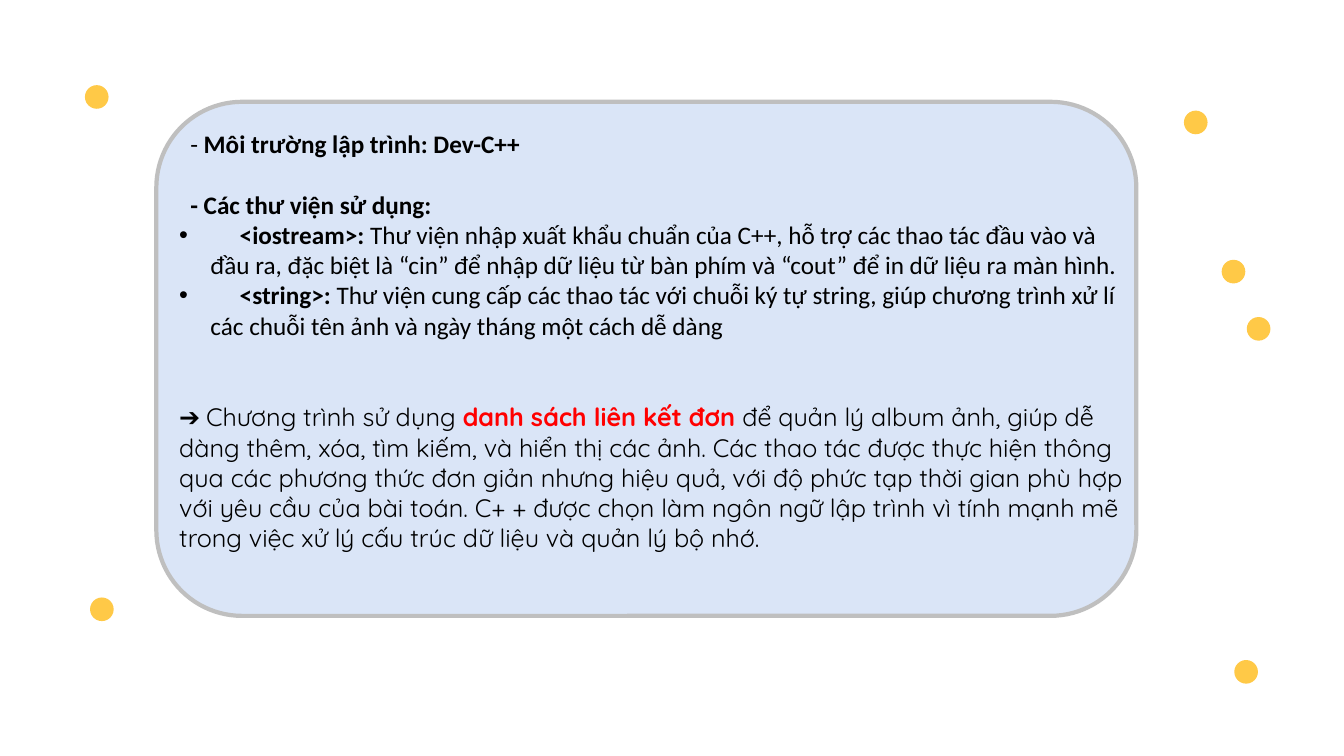
from dataclasses import dataclass

from lxml import etree
from pptx import Presentation
from pptx.dml.color import RGBColor
from pptx.enum.shapes import MSO_SHAPE
from pptx.enum.text import MSO_AUTO_SIZE, PP_ALIGN
from pptx.oxml.ns import qn
from pptx.util import Inches, Pt

OVAL = MSO_SHAPE.OVAL
ROUNDED = MSO_SHAPE.ROUNDED_RECTANGLE
GROW = MSO_AUTO_SIZE.SHAPE_TO_FIT_TEXT
LEFT = PP_ALIGN.LEFT
SLIDE_WIDTH, SLIDE_HEIGHT = Inches(13.33), Inches(7.5)


@dataclass(frozen=True)
class Theme:
    panel: str = "DAE5F7"
    border: str = "BFBFBF"
    dot: str = "FFC947"
    ink: str = "000000"
    accent: str = "FF0000"
    body_font: str = "Calibri"
    summary_font: str = "Quicksand"
    size: int = 18
    line: int = 22
    border_width: int = 3


THEME = Theme()


@dataclass(frozen=True)
class Area:
    """Left, top, width and height in percent of the slide."""
    left: float
    top: float
    width: float
    height: float


@dataclass(frozen=True)
class Phrase:
    text: str
    bold: bool = False
    color: str = THEME.ink
    font: str = THEME.body_font


@dataclass(frozen=True)
class Entry:
    phrases: tuple[Phrase, ...]
    margin: float = 0
    bullet: bool = False
    lines_before: int = 0


@dataclass(frozen=True)
class Dot:
    """Centre in percent of the slide."""
    x: float
    y: float


PANEL = Area(11.63, 13.47, 72.92, 68)
TEXT_AREA = Area(12.6, 16.27, 71.87, 57.87)
DOT_SIZE = 1.76  # percent of slide width
DASH_MARGIN, BULLET_MARGIN, FIRST_LINE_TAB = 0.11, 0.31, 0.6

DOTS = (
    Dot(7.58, 80.6), Dot(7.2, 12.83), Dot(93.65, 43.5),
    Dot(92.72, 88.87), Dot(91.78, 35.93), Dot(88.97, 16.2),
)

ENTRIES = (
    Entry((Phrase("- "), Phrase("Môi trường lập trình: Dev-C++", True)), DASH_MARGIN),
    Entry((Phrase("- Các thư viện sử dụng:", True),), DASH_MARGIN, lines_before=1),
    Entry((
        Phrase("\t<iostream>: ", True),
        Phrase("Thư viện nhập xuất khẩu chuẩn của C++, hỗ trợ các thao tác đầu vào "
               "và đầu ra, đặc biệt là “cin” để nhập dữ liệu từ bàn phím và “cout” "
               "để in dữ liệu ra màn hình."),
    ), BULLET_MARGIN, bullet=True),
    Entry((
        Phrase("\t<string>: ", True),
        Phrase("Thư viện cung cấp các thao tác với chuỗi ký tự string, giúp chương "
               "trình xử lí các chuỗi tên ảnh và ngày tháng một cách dễ dàng"),
    ), BULLET_MARGIN, bullet=True),
    Entry((
        Phrase("➔ "),
        Phrase("Chương trình sử dụng ", font=THEME.summary_font),
        Phrase("danh sách liên kết đơn ", True, THEME.accent, THEME.summary_font),
        Phrase("để quản lý album ảnh, giúp dễ dàng thêm, xóa, tìm kiếm, và hiển thị "
               "các ảnh. Các thao tác được thực hiện thông qua các phương thức đơn "
               "giản nhưng hiệu quả, với độ phức tạp thời gian phù hợp với yêu cầu "
               "của bài toán. C+ + được chọn làm ngôn ngữ lập trình vì tính mạnh mẽ "
               "trong việc xử lý cấu trúc dữ liệu và quản lý bộ nhớ.",
               font=THEME.summary_font),
    ), lines_before=2),
)


def rgb(color: str) -> RGBColor:
    return RGBColor.from_string(color)


def across(percent: float) -> int:
    return round(SLIDE_WIDTH * percent / 100)


def down(percent: float) -> int:
    return round(SLIDE_HEIGHT * percent / 100)


def box(area: Area) -> tuple[int, int, int, int]:
    return across(area.left), down(area.top), across(area.width), down(area.height)


def draw_panel(slide) -> None:
    panel = slide.shapes.add_shape(ROUNDED, *box(PANEL))
    panel.shadow.inherit = False
    panel.fill.solid()
    panel.fill.fore_color.rgb = rgb(THEME.panel)
    panel.line.color.rgb = rgb(THEME.border)
    panel.line.width = Pt(THEME.border_width)


def draw_dot(slide, dot: Dot) -> None:
    size = across(DOT_SIZE)
    circle = slide.shapes.add_shape(
        OVAL, across(dot.x) - size // 2, down(dot.y) - size // 2, size, size)
    circle.shadow.inherit = False
    circle.fill.solid()
    circle.fill.fore_color.rgb = rgb(THEME.dot)
    circle.line.fill.background()


def write_entry(paragraph, entry: Entry) -> None:
    paragraph.alignment = LEFT
    if entry.lines_before:
        paragraph.space_before = Pt(entry.lines_before * THEME.line)
    # Indent, bullet and the tab that sets in the first line
    properties = paragraph._p.get_or_add_pPr()
    properties.set("marL", str(Inches(entry.margin)))
    if entry.bullet:
        properties.set("indent", str(-Inches(entry.margin)))
        etree.SubElement(properties, qn("a:buFont"), typeface="Arial")
        etree.SubElement(properties, qn("a:buChar"), char="•")
        tabs = etree.SubElement(properties, qn("a:tabLst"))
        etree.SubElement(tabs, qn("a:tab"), pos=str(Inches(FIRST_LINE_TAB)), algn="l")
    for phrase in entry.phrases:
        run = paragraph.add_run()
        run.text = phrase.text
        run.font.name = phrase.font
        run.font.size = Pt(THEME.size)
        run.font.bold = phrase.bold
        run.font.color.rgb = rgb(phrase.color)


def write_entries(slide) -> None:
    frame = slide.shapes.add_textbox(*box(TEXT_AREA)).text_frame
    frame.word_wrap = True
    frame.auto_size = GROW
    for index, entry in enumerate(ENTRIES):
        write_entry(frame.add_paragraph() if index else frame.paragraphs[0], entry)


def main() -> None:
    presentation = Presentation()
    presentation.slide_width, presentation.slide_height = SLIDE_WIDTH, SLIDE_HEIGHT
    slide = presentation.slides.add_slide(presentation.slide_layouts[6])
    draw_panel(slide)
    write_entries(slide)
    for dot in DOTS:
        draw_dot(slide, dot)
    presentation.save("out.pptx")


if __name__ == "__main__":
    main()
